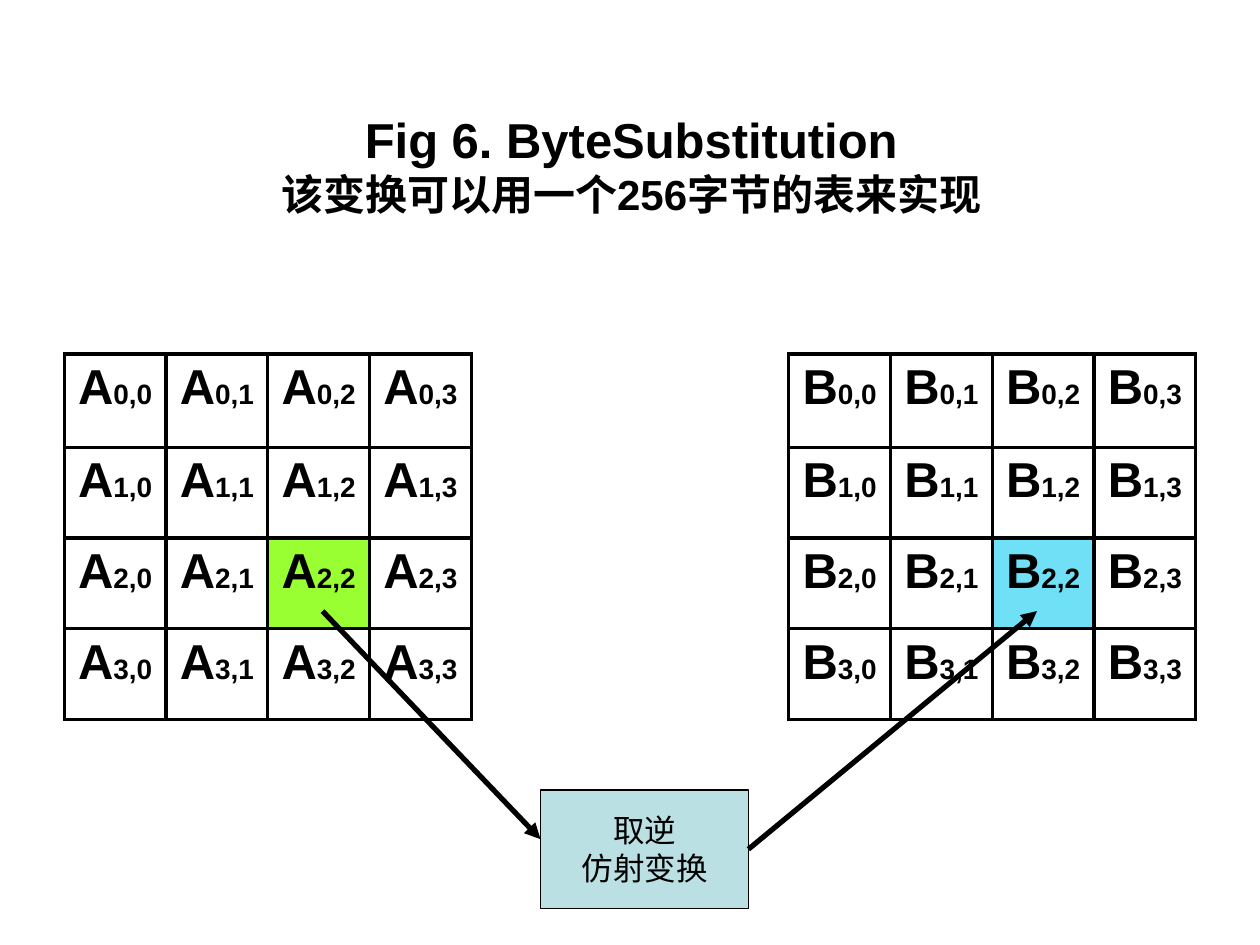
from lxml import etree
from pptx import Presentation
from pptx.dml.color import RGBColor
from pptx.enum.shapes import MSO_CONNECTOR, MSO_SHAPE
from pptx.enum.text import MSO_ANCHOR, PP_ALIGN
from pptx.oxml.ns import qn
from pptx.util import Inches, Pt

CENTER, MIDDLE = PP_ALIGN.CENTER, MSO_ANCHOR.MIDDLE
STRAIGHT, RECT = MSO_CONNECTOR.STRAIGHT, MSO_SHAPE.RECTANGLE
BLACK = RGBColor(0x00, 0x00, 0x00)
GREEN = RGBColor(0x99, 0xFF, 0x33)
CYAN = RGBColor(0x70, 0xE0, 0xF6)
PALE_TEAL = RGBColor(0xBB, 0xE0, 0xE3)

SIZE = 4                # rows and columns of a state matrix
MARKED = (2, 2)         # cell that is substituted
FIRST_ROW, ROW = 0.74, 0.72
RIGHT_SIDE = 3          # connection site of a rectangle


def add_run(p, text, size, bold=True):
    r = p.add_run()
    r.text = text
    formats = {"name": "Arial", "size": Pt(size), "bold": bold}
    for name, value in formats.items():
        setattr(r.font, name, value)
    r.font.color.rgb = BLACK


def place_title(title, box):
    title.left, title.top, title.width, title.height = map(Inches, box)
    tf = title.text_frame
    tf.word_wrap = True
    tf.vertical_anchor = MIDDLE
    p = tf.paragraphs[0]
    p.alignment = CENTER
    add_run(p, "Fig 6. ByteSubstitution", 28)
    p.add_line_break()
    add_run(p, "该变换可以用一个256字节的表来实现", 24)


def add_borders(cell, width):
    tcPr = cell._tc.get_or_add_tcPr()
    for i, side in enumerate(("lnL", "lnR", "lnT", "lnB")):
        ln = etree.Element(qn(f"a:{side}"), w=str(Pt(width)))
        fill = etree.SubElement(ln, qn("a:solidFill"))
        etree.SubElement(fill, qn("a:srgbClr"), val=str(BLACK))
        tcPr.insert(i, ln)


def add_matrix(slide, box, letter, mark_color):
    table = slide.shapes.add_table(SIZE, SIZE, *map(Inches, box)).table
    table.first_row = table.horz_banding = False
    for col in table.columns:
        col.width = Inches(box[2] / SIZE)
    for i, row in enumerate(table.rows):
        row.height = Inches(ROW if i else FIRST_ROW)
        for j, cell in enumerate(row.cells):
            p = cell.text_frame.paragraphs[0]
            p.alignment = CENTER
            add_run(p, letter, 28)
            add_run(p, f"{i},{j}", 16)
            if (i, j) == MARKED:
                cell.fill.solid()
                cell.fill.fore_color.rgb = mark_color
            else:
                cell.fill.background()
            add_borders(cell, 2.25)


def add_transform(slide, box):
    sp = slide.shapes.add_shape(RECT, *map(Inches, box))
    sp.shadow.inherit = False
    sp.fill.solid()
    sp.fill.fore_color.rgb = PALE_TEAL
    sp.line.color.rgb = BLACK
    sp.line.width = Pt(0.75)
    tf = sp.text_frame
    tf.word_wrap = False
    tf.vertical_anchor = MIDDLE
    for i, text in enumerate(("取逆", "仿射变换")):
        p = tf.add_paragraph() if i else tf.paragraphs[0]
        p.alignment = CENTER
        add_run(p, text, 18, bold=False)
    return sp


def add_arrow(slide, start, end):
    line = slide.shapes.add_connector(STRAIGHT, *map(Inches, start + end))
    line.line.color.rgb = BLACK
    line.line.width = Pt(3)
    etree.SubElement(line.line._get_or_add_ln(), qn("a:tailEnd"), type="triangle")
    etree.SubElement(line._element.spPr, qn("a:effectLst"))
    return line


def main():
    prs = Presentation()
    prs.slide_width, prs.slide_height = Inches(10), Inches(7.5)
    slide = prs.slides.add_slide(prs.slide_layouts[5])
    place_title(slide.shapes.title, (0.51, 0.68, 9, 1.25))

    # State before and after the substitution
    top, width = 2.81, 3.23
    height = FIRST_ROW + (SIZE - 1) * ROW
    add_matrix(slide, (6.26, top, width, height), "B", CYAN)
    add_matrix(slide, (0.51, top, width, height), "A", GREEN)

    # Path of the marked byte through the transform
    x, y, w, h = box = (4.29, 6.27, 1.65, 0.94)
    add_arrow(slide, (2.56, 4.85), (x, 6.66))
    transform = add_transform(slide, box)
    arrow = add_arrow(slide, (x + w, y + h / 2), (8.23, 4.85))
    arrow.begin_connect(transform, RIGHT_SIDE)

    prs.save("out.pptx")


if __name__ == "__main__":
    main()
